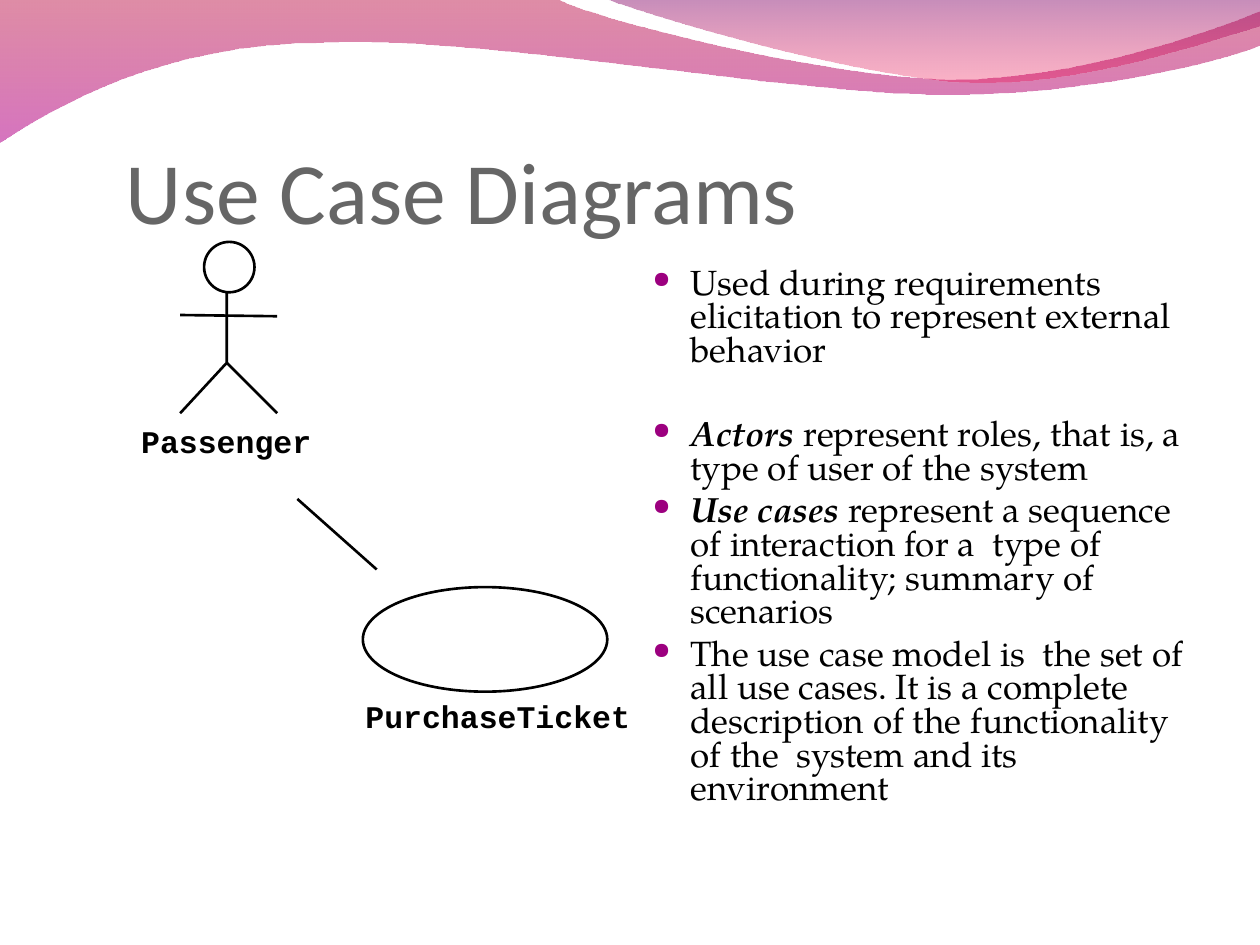
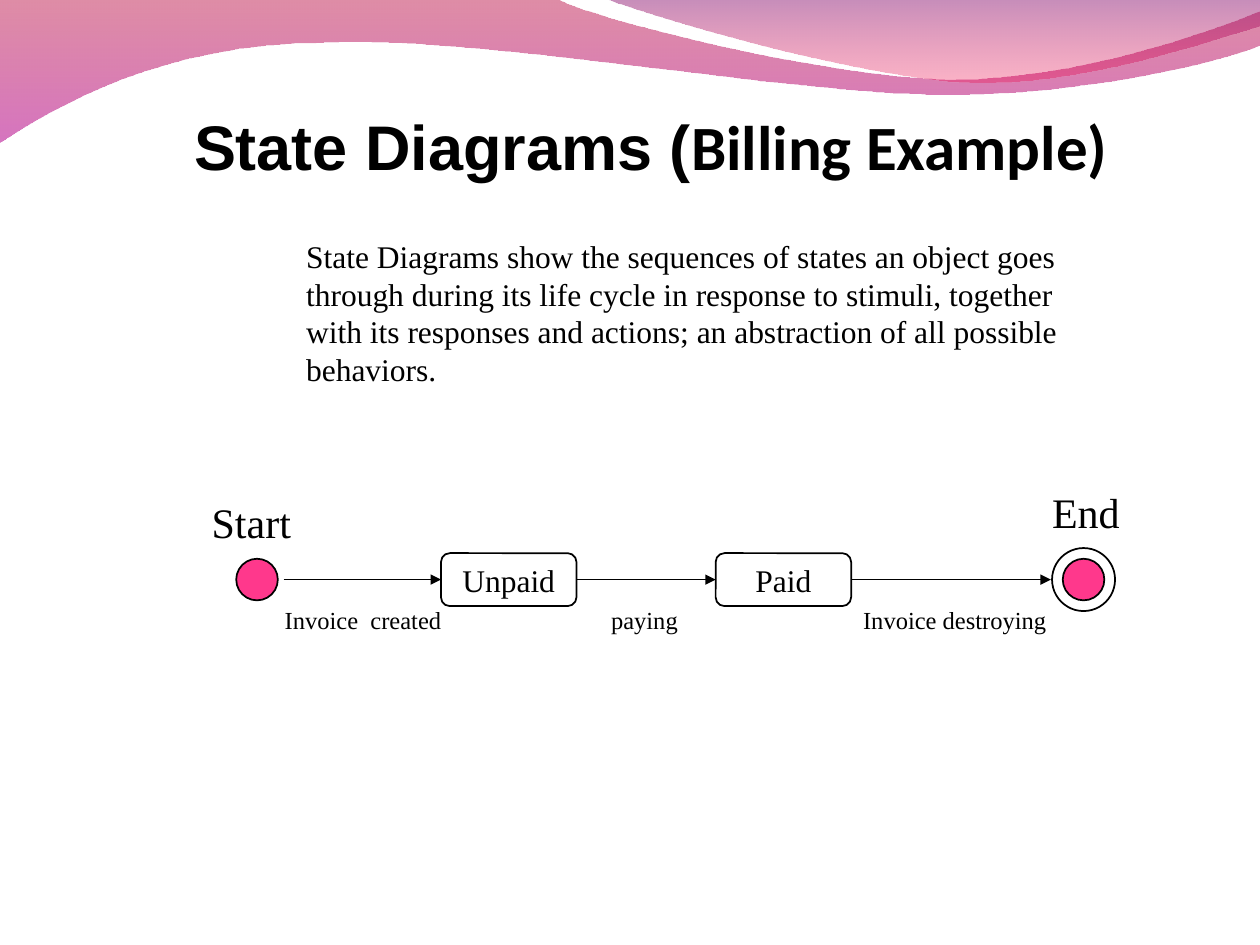
from dataclasses import dataclass

from lxml import etree
from pptx import Presentation
from pptx import util as u
from pptx.dml.color import RGBColor
from pptx.enum import shapes as kinds, text as modes
from pptx.oxml.ns import qn

COLS, ROWS = 100, 75
CELL = u.Inches(10) // COLS


@dataclass(frozen=True)
class Theme:
    ink: str = "000000"
    title: str = "666666"
    bullet: str = "9C007F"
    dot: str = "FF388C"
    paper: str = "FFFFFF"
    wave: tuple = (("B8003B", 45), ("B4008B", 55))
    crest: tuple = (("820066", 45), ("F10044", 30))
    head: str = "Calibri"
    bold: str = "Arial"
    body: str = "TeX Gyre Pagella"
    code: str = "Courier New"
    serif: str = "Times New Roman"
    huge: int = 50
    large: int = 36
    mid: int = 24
    list: int = 20
    base: int = 18
    small: int = 14


T = Theme()

WAVE = [(0, 0)], [(44.3, 0)], [(47.6, 1.7), (66.4, 6.3), (75.8, 6.3)], \
    [(85.3, 6.3), (95.8, 2.6), (100, 0.9)], [(100, 3.6)], \
    [(98.3, 4.4), (87, 7.6), (74.6, 7.5)], [(62.2, 7.5), (38.2, 2.8), (25.7, 3.4)], \
    [(12.9, 3.5), (4.6, 8.3), (0, 11.3)]
CREST = [(48.2, 0)], [(50.9, 1.1), (68.2, 6.2), (76.9, 6.5)], \
    [(85.6, 6.9), (96.1, 3.2), (100, 2.1)], [(100, 0)]


def grid(*cells):
    return [round(cell * CELL) for cell in cells]


def color(code):
    return RGBColor.from_string(code)


def draw(group, points, close):
    first, *rest = [grid(*point) for point in points]
    pen = group.build_freeform(*first)
    pen.add_line_segments(rest, close=close)
    shape = pen.convert_to_shape()
    shape.shadow.inherit = False
    return shape


def bend(shape, parts):
    lines = list(shape.element.spPr.iter(qn("a:lnTo")))
    for old, part in zip(lines, parts[1:]):
        if len(part) == 3:
            curve = etree.Element(qn("a:cubicBezTo"))
            for point in part:
                x, y = grid(*point)
                etree.SubElement(curve, qn("a:pt"),
                                 x=str(x - shape.left), y=str(y - shape.top))
            old.getparent().replace(old, curve)


def band(slide, parts, stops):
    shape = draw(slide.shapes, [part[-1] for part in parts], True)
    bend(shape, parts)
    shape.line.fill.background()
    shape.fill.gradient()
    shape.fill.gradient_angle = 270
    for stop, (code, _), spot in zip(shape.fill.gradient_stops, stops, (0, 1)):
        stop.color.rgb = color(code)
        stop.position = spot
    tints = shape.element.spPr.find(qn("a:gradFill")).iter(qn("a:srgbClr"))
    for tint, (_, share) in zip(tints, stops):
        etree.SubElement(tint, qn("a:alpha"), val=str(share * 1000))


def new_slide(deck):
    slide = deck.slides.add_slide(deck.slide_layouts[6])
    band(slide, WAVE, T.wave)
    band(slide, CREST, T.crest)
    return slide


def style(run, size, face, code=T.ink, bold=False, slant=False):
    font = run.font
    font.size, font.name = u.Pt(size), face
    font.bold, font.italic = bold, slant
    font.color.rgb = color(code)


def frame(group, box, wrap=True):
    area = group.add_textbox(*grid(*box)).text_frame
    area.margin_left = area.margin_right = area.margin_top = area.margin_bottom = 0
    area.word_wrap = wrap
    return area


def label(group, box, words, size, face, bold=False):
    area = frame(group, box)
    area.text = words
    style(area.paragraphs[0].runs[0], size, face, bold=bold)


def heading(slide, box, parts):
    area = frame(slide.shapes, box)
    area.vertical_anchor = modes.MSO_ANCHOR.BOTTOM
    for words, look in parts:
        run = area.paragraphs[0].add_run()
        run.text = words
        style(run, **look)


def bullets(slide, box, items):
    area = frame(slide.shapes, box)
    for index, (term, words, space) in enumerate(items):
        para = area.add_paragraph() if index else area.paragraphs[0]
        para.line_spacing = 0.8
        para.space_before = u.Pt(space)
        props = para._p.get_or_add_pPr()
        indent = grid(3)[0]
        props.set("marL", str(indent))
        props.set("indent", str(-indent))
        tint = etree.SubElement(props, qn("a:buClr"))
        etree.SubElement(tint, qn("a:srgbClr"), val=T.bullet)
        etree.SubElement(props, qn("a:buSzPct"), val="65000")
        etree.SubElement(props, qn("a:buChar"), char="●")
        for text, strong in ((term, True), (words, False)):
            if text:
                run = para.add_run()
                run.text = text
                style(run, T.list, T.body, bold=strong, slant=strong)


def outline(shape, width):
    shape.line.color.rgb = color(T.ink)
    shape.line.width = u.Pt(width)


def figure(group, kind, box, width, fill=None):
    shape = group.add_shape(kind, *grid(*box))
    shape.shadow.inherit = False
    if fill:
        shape.fill.solid()
        shape.fill.fore_color.rgb = color(fill)
    else:
        shape.fill.background()
    outline(shape, width)
    return shape


def oval(group, box, width, fill=None):
    return figure(group, kinds.MSO_SHAPE.OVAL, box, width, fill)


def disc(slide, mid, axis, size, fill=None):
    return oval(slide.shapes, (mid - size / 2, axis - size / 2, size, size), 1, fill)


def state(slide, left, axis, words):
    wide, high = 10.75, 4.2
    shape = figure(slide.shapes, kinds.MSO_SHAPE.FLOWCHART_ALTERNATE_PROCESS,
                   (left, axis - high / 2, wide, high), 1)
    area = shape.text_frame
    area.word_wrap = False
    area.vertical_anchor = modes.MSO_ANCHOR.MIDDLE
    area.text = words
    area.paragraphs[0].alignment = modes.PP_ALIGN.CENTER
    style(area.paragraphs[0].runs[0], T.base, T.serif)
    return shape


def line(group, start, end, width, head=False, source=None, target=None):
    link = group.add_connector(kinds.MSO_CONNECTOR.STRAIGHT, *grid(*start, *end))
    outline(link, width)
    props = link._element.spPr
    if head:
        etree.SubElement(props.find(qn("a:ln")), qn("a:tailEnd"), type="triangle")
    etree.SubElement(props, qn("a:effectLst"))
    if source:
        link.begin_connect(source, 3)
    if target:
        link.end_connect(target, 1)


def actor(slide, name):
    group = slide.shapes.add_group_shape().shapes
    hip = (18, 28.8)
    pose = draw(group, [(18, 22), hip, (14.3, 32.8)], False)
    outline(pose, 1.5)
    pose.fill.background()
    line(group, hip, (22, 32.8), 1.5)
    line(group, (14.3, 25), (22, 25.1), 1.5)
    oval(group, (16.2, 19.2, 4, 4), 1.5, T.paper)
    label(group, (11.2, 33.5, 14.5, 3), name, T.base, T.code, bold=True)


def use_case(slide, name):
    group = slide.shapes.add_group_shape().shapes
    oval(group, (28.8, 46.6, 19.4, 8.3), 1.5)
    label(group, (29, 55.3, 22, 3), name, T.base, T.code, bold=True)


def cases(deck):
    slide = new_slide(deck)
    heading(slide, (10, 6.7, 90, 12.5), [
        ("Use Case Diagrams", dict(size=T.huge, face=T.head, code=T.title))])
    bullets(slide, (51.8, 21.3, 42.8, 48.2), [
        ("", "Used during requirements elicitation to represent external behavior", 0),
        ("Actors", " represent roles, that is, a type of user of the system", 29),
        ("Use cases", " represent a sequence of interaction for a  type of "
         "functionality; summary of scenarios", 5),
        ("", "The use case model is  the set of all use cases. It is a complete "
         "description of the functionality of the  system and its environment", 5)])
    actor(slide, "Passenger")
    use_case(slide, "PurchaseTicket")
    line(slide.shapes, (23.6, 39.6), (29.9, 45.2), 1.5)


def states(deck):
    slide = new_slide(deck)
    heading(slide, (15.4, 2.5, 76, 12), [
        ("State Diagrams (", dict(size=T.large, face=T.bold, bold=True)),
        ("Billing Example)", dict(size=T.large, face=T.head, bold=True))])
    label(slide.shapes, (24.3, 18.8, 63, 12),
          "State Diagrams show the sequences of states an object goes through during "
          "its life cycle in response to stimuli, together with its responses and "
          "actions; an abstraction of all possible behaviors.", T.base, T.serif)
    axis = 46
    unpaid = state(slide, 35, axis, "Unpaid")
    paid = state(slide, 56.8, axis, "Paid")
    disc(slide, 20.4, axis, 3.3, T.dot)
    disc(slide, 86, axis, 3.3, T.dot)
    disc(slide, 86, axis, 5)
    for start, end, source, target in ((22.5, 35, None, unpaid),
                                       (45.75, 56.8, unpaid, paid),
                                       (67.55, 83.4, paid, None)):
        line(slide.shapes, (start, axis), (end, axis), 0.75, True, source, target)
    for left, top, wide, words in ((16.8, 39.4, 8.8, "Start"), (83.5, 38.6, 7, "End")):
        label(slide.shapes, (left, top, wide, 4), words, T.mid, T.serif)
    for left, wide, words in ((22.6, 14.4, "Invoice  created"), (48.5, 7.3, "paying"),
                              (68.5, 16.5, "Invoice destroying")):
        label(slide.shapes, (left, 48, wide, 2.4), words, T.small, T.serif)


def main():
    deck = Presentation()
    deck.slide_width, deck.slide_height = grid(COLS, ROWS)
    cases(deck)
    states(deck)
    deck.save("out.pptx")


if __name__ == "__main__":
    main()
